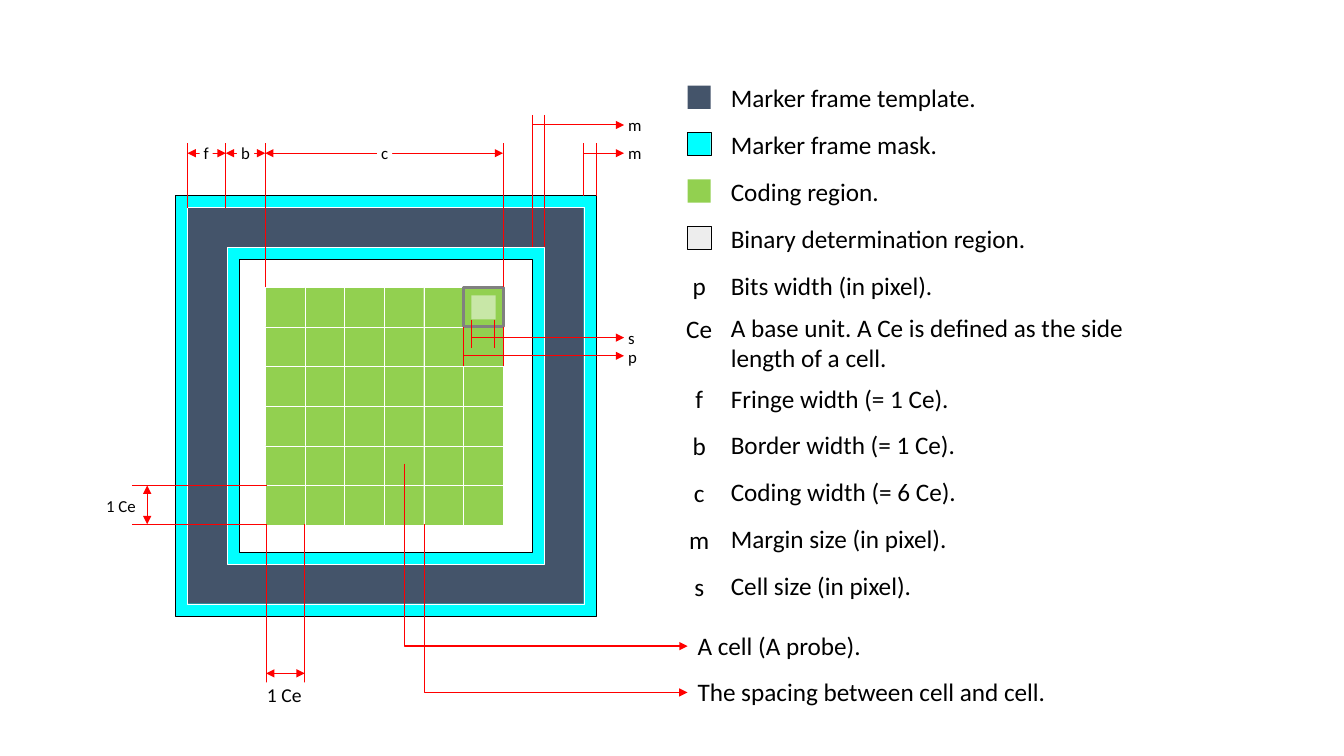
import pptx
import pptx.dml.color
import pptx.enum.shapes
import pptx.enum.text
import pptx.oxml
import pptx.oxml.ns
import pptx.util
from pptx.util import Inches

RED, BLACK, WHITE = "FF0000", "000000", "FFFFFF"
NAVY, CYAN, GREEN = "44546A", "00FFFF", "92D050"
ALIGN = pptx.enum.text.PP_ALIGN
ANCHOR = pptx.enum.text.MSO_ANCHOR
CONNECTOR = pptx.enum.shapes.MSO_CONNECTOR
GRID_COUNT = 6
CELL = 2.36 / GRID_COUNT
MARGIN = 0.12
GRID_X, GRID_Y = 0.89, 0.91
GRID_END_X, GRID_END_Y = GRID_X + 2.36, GRID_Y + 2.36
MARKER_SIZE = 4.17
READOUT_X = 4.45


def color(value):
    return pptx.dml.color.RGBColor.from_string(value)


def child(parent, tag, **attributes):
    node = pptx.oxml.parse_xml(f"<{tag} {pptx.oxml.ns.nsdecls('a')}/>")
    for name, value in attributes.items():
        node.set(name, value)
    parent.append(node)
    return node


def paint(shape, fill, outline=None, weight=0.25):
    shape.shadow.inherit = False
    shape.fill.solid()
    shape.fill.fore_color.rgb = color(fill)
    if outline:
        shape.line.color.rgb = color(outline)
        shape.line.width = pptx.util.Pt(weight)
    else:
        shape.line.fill.background()


def add_rect(page, left, top, width, height, fill, outline=None, weight=0.25):
    rect = page.shapes.add_shape(pptx.enum.shapes.MSO_SHAPE.RECTANGLE,
                                 Inches(left), Inches(top), Inches(width), Inches(height))
    paint(rect, fill, outline, weight)
    return rect


def add_line(page, start, end, weight=0.5, head=False, tail=False, kind=CONNECTOR.STRAIGHT):
    line = page.shapes.add_connector(kind, *(Inches(value) for value in (*start, *end)))
    line.line.color.rgb = color(RED)
    line.line.width = pptx.util.Pt(weight)
    outline = line.line._get_or_add_ln()
    if head:
        child(outline, "a:headEnd", type="triangle")
    if tail:
        child(outline, "a:tailEnd", type="triangle")
    child(line._element.spPr, "a:effectLst")
    return line


def write(shape, lines, size, align, insets=None, wrap=True, grow=True, anchor=ANCHOR.MIDDLE):
    frame = shape.text_frame
    frame.word_wrap = wrap
    sizing = pptx.enum.text.MSO_AUTO_SIZE
    frame.auto_size = sizing.SHAPE_TO_FIT_TEXT if grow else sizing.NONE
    frame.vertical_anchor = anchor
    if insets is not None:
        frame.margin_left = frame.margin_right = Inches(insets)
        frame.margin_top = frame.margin_bottom = 0
    for index, text in enumerate(lines):
        para = frame.add_paragraph() if index else frame.paragraphs[0]
        para.alignment = align
        span = para.add_run()
        span.text = text
        span.font.name = "Calibri"
        span.font.size = pptx.util.Pt(size)
        span.font.color.rgb = color(BLACK)


def add_label(page, text, left, top, width, height=0.2, align=ALIGN.CENTER, size=12, wrap=False):
    label = add_rect(page, left, top, width, height, WHITE)
    write(label, [text], size, align, insets=0.04, wrap=wrap)


def add_caption(page, lines, left, top, width, height=0.4, wrap=False):
    caption = page.shapes.add_textbox(Inches(left), Inches(top), Inches(width), Inches(height))
    write(caption, lines, 18, ALIGN.LEFT, wrap=wrap, anchor=ANCHOR.TOP)


def draw_ring(page, left, top, size, thickness, fill, outline):
    right, bottom = left + size, top + size
    outer = [(left, top), (right, top), (right, bottom), (left, bottom)]
    inner = [(left + thickness, top + thickness), (left + thickness, bottom - thickness),
             (right - thickness, bottom - thickness), (right - thickness, top + thickness)]
    outer, inner = ([(Inches(x), Inches(y)) for x, y in corners] for corners in (outer, inner))
    builder = page.shapes.build_freeform(*inner[0])
    builder.add_line_segments(inner[1:], close=True)
    builder.move_to(*outer[0])
    builder.add_line_segments(outer[1:], close=True)
    paint(builder.convert_to_shape(), fill, outline)


def draw_marker(page, left, top):
    draw_ring(page, left, top, MARKER_SIZE, 0.63, CYAN, BLACK)
    draw_ring(page, left + MARGIN, top + MARGIN, MARKER_SIZE - 2 * MARGIN, 0.39, NAVY, WHITE)
    grid_x, grid_y = left + GRID_X, top + GRID_Y
    for row in range(GRID_COUNT):
        for column in range(GRID_COUNT):
            add_rect(page, grid_x + column * CELL, grid_y + row * CELL, CELL, CELL, GREEN, WHITE)
    probe_x = grid_x + (GRID_COUNT - 1) * CELL
    add_rect(page, probe_x, grid_y, CELL, CELL, GREEN, "808080", 2.25)
    core = add_rect(page, probe_x + 0.08, grid_y + 0.08, 0.24, 0.24, WHITE)
    tint = core._element.spPr.find(".//" + pptx.oxml.ns.qn("a:srgbClr"))
    child(tint, "a:alpha", val="50000")


def draw_top_dimensions(page, left, top):
    fringe, inner_mask = 0.5, MARKER_SIZE - 0.63
    upright = [(MARGIN, -0.52, MARGIN), (fringe, -0.52, MARGIN),
               (GRID_X, -0.52, GRID_Y), (GRID_END_X, -0.52, GRID_Y),
               (MARKER_SIZE - MARGIN, -0.52, 0), (MARKER_SIZE, -0.52, 0),
               (inner_mask, -0.8, 0.51), (inner_mask + MARGIN, -0.8, 0.51)]
    for x, y_from, y_to in upright:
        add_line(page, (left + x, top + y_from), (left + x, top + y_to))
    spans = [("f", MARGIN, fringe, 0.24, 0.13), ("b", fringe, GRID_X, 0.61, 0.17),
             ("c", GRID_X, GRID_END_X, 2, 0.15)]
    for text, x_from, x_to, label_x, width in spans:
        add_line(page, (left + x_from, top - 0.42), (left + x_to, top - 0.42), 0.75, True, True)
        add_label(page, text, left + label_x, top - 0.52, width)
    for x, y in [(MARKER_SIZE - MARGIN, -0.42), (inner_mask, -0.7)]:
        add_line(page, (left + x, top + y), (left + READOUT_X, top + y), 0.75, tail=True)
        add_label(page, "m", left + READOUT_X, top + y - 0.1, 0.21, align=ALIGN.LEFT)


def draw_probe_dimensions(page, left, top):
    cell_x = GRID_END_X - CELL
    readouts = [("s", cell_x + 0.08, cell_x + 0.31, 1.23, 1.51, 1.41),
                ("p", cell_x, GRID_END_X, 1.3, 1.69, 1.59)]
    for text, x_from, x_to, y_from, y_to, arrow_y in readouts:
        for x in (x_from, x_to):
            add_line(page, (left + x, top + y_from), (left + x, top + y_to))
        add_line(page, (left + x_from, top + arrow_y), (left + READOUT_X, top + arrow_y), tail=True)
        add_label(page, text, left + READOUT_X, top + arrow_y - 0.1, 0.15, 0.21, ALIGN.LEFT, wrap=True)


def draw_unit_dimensions(page, left, top):
    columns = [left + GRID_X + 0.01, left + GRID_X + CELL]
    rows = [top + GRID_END_Y - CELL, top + GRID_END_Y - 0.01]
    for x in columns:
        add_line(page, (x, rows[1]), (x, top + 4.93))
    for y in rows:
        add_line(page, (left + 0.91, y), (left - 0.43, y))
    add_line(page, (columns[0], top + 4.74), (columns[1], top + 4.74), 0.75, True, True)
    add_line(page, (left - 0.28, rows[0]), (left - 0.28, rows[1]), 0.75, True, True)
    add_label(page, "1 Ce", left + 0.78, top + 4.83, 0.6, 0.24, size=14, wrap=True)
    add_label(page, "1 Ce", left - 0.74, top + 2.98, 0.4, wrap=True)


def draw_callouts(page, left, top):
    callouts = [("A cell (A probe).", 2.27, 2.66, 4.47, 2.04),
                ("The spacing between cell and cell.", 2.47, 3.26, 4.93, 4.3)]
    for text, x, y_from, y_to, width in callouts:
        elbow = add_line(page, (left + x, top + y_from), (left + 5.08, top + y_to), 1,
                         tail=True, kind=CONNECTOR.ELBOW)
        geometry = elbow._element.spPr.find(pptx.oxml.ns.qn("a:prstGeom"))
        guides = geometry.find(pptx.oxml.ns.qn("a:avLst"))
        child(guides, "a:gd", name="adj1", fmla="val 0")
        add_caption(page, [text], left + 5.08, top + y_to - 0.21, width, wrap=True)


def draw_legend(page, left, top):
    pitch = 0.465
    swatches = [("Marker frame template.", 2.66, NAVY, None),
                ("Marker frame mask.", 2.27, CYAN, BLACK),
                ("Coding region.", 1.69, GREEN, None),
                ("Binary determination region.", 3.16, "EDEDED", BLACK)]
    for index, (text, width, fill, outline) in enumerate(swatches):
        y = top + index * pitch
        add_rect(page, left, y + 0.08, 0.23, 0.23, fill, outline)
        add_caption(page, [text], left + 0.33, y, width)
    symbols = [("p", ["Bits width (in pixel)."], 2.23, 1.86),
               ("Ce", ["A base unit. A Ce is defined as the side", "length of a cell."], 4.2, 2.28)]
    lower = [("f", "Fringe width (= 1 Ce).", 2.39), ("b", "Border width (= 1 Ce).", 2.46),
             ("c", "Coding width (= 6 Ce).", 2.54), ("m", "Margin size (in pixel).", 2.37),
             ("s", "Cell size (in pixel).", 2.01)]
    symbols += [(symbol, [text], width, 2.98 + index * pitch)
                for index, (symbol, text, width) in enumerate(lower)]
    for symbol, lines, width, offset in symbols:
        y = top + offset
        box = page.shapes.add_textbox(Inches(left - 0.11), Inches(y + 0.09), Inches(0.45), Inches(0.23))
        write(box, [symbol], 18, ALIGN.CENTER, insets=0, grow=False)
        add_caption(page, lines, left + 0.33, y, width, 0.1 + 0.3 * len(lines))


def main():
    deck = pptx.Presentation()
    deck.slide_width, deck.slide_height = Inches(13.33), Inches(7.5)
    page = deck.slides.add_slide(deck.slide_layouts[6])
    for draw in (draw_marker, draw_top_dimensions, draw_probe_dimensions,
                 draw_callouts, draw_unit_dimensions):
        draw(page, 1.74, 1.94)
    draw_legend(page, 6.82, 0.77)
    deck.save("out.pptx")


if __name__ == "__main__":
    main()
